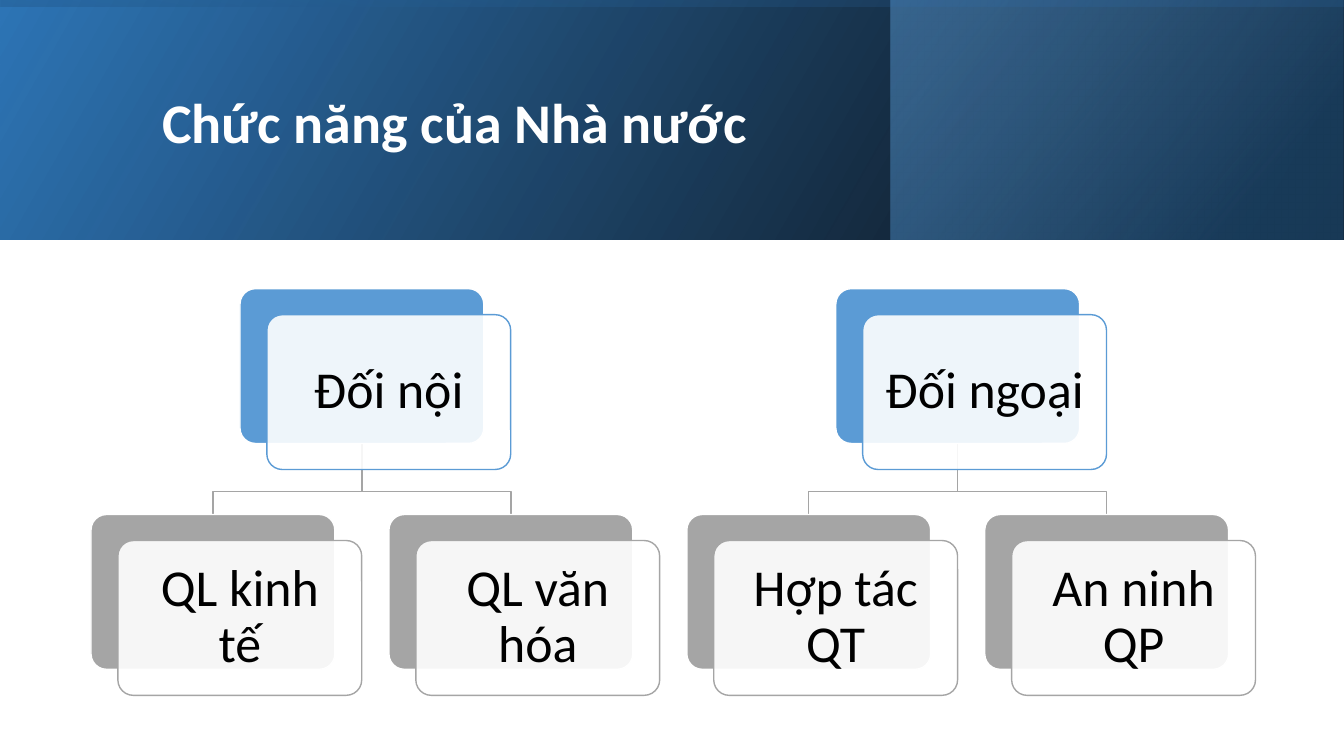
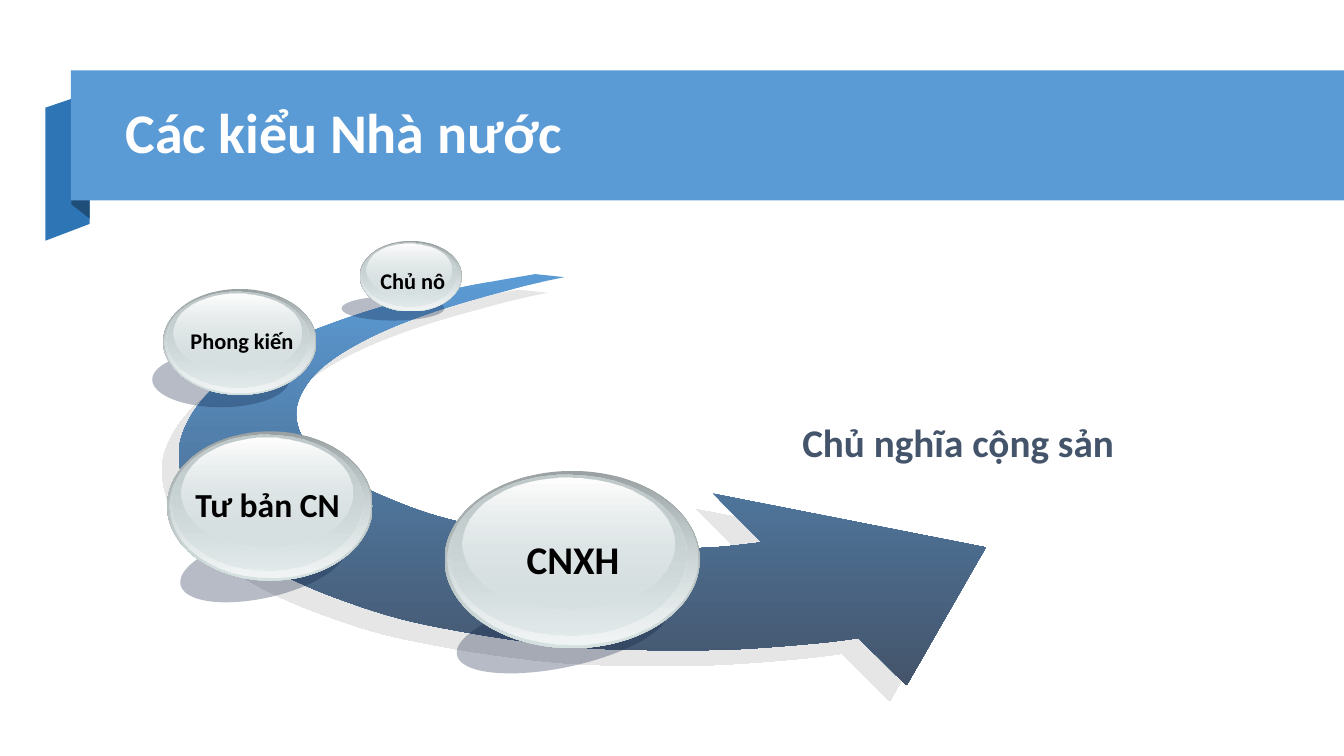
from dataclasses import dataclass
from typing import NamedTuple

from lxml.etree import SubElement as Sub
from pptx import Presentation
from pptx.dml.color import RGBColor as Rgb
from pptx.enum.shapes import MSO_SHAPE as Kind
from pptx.enum.text import MSO_ANCHOR as Anchor, PP_ALIGN as Align
from pptx.oxml.ns import qn
from pptx.util import Pt

# Shared look
FONT = "Calibri"
WIDE, HIGH = 960, 540
HEX = {
    "white": "FFFFFF", "black": "000000", "blue": "5B9BD5", "deep": "2E75B6",
    "navy": "1F4E79", "gray": "A5A5A5", "slate": "44546A", "pale": "E7E6E6",
    "ink": "0F2145", "steel": "99A1A2", "mist": "D6E1E2", "frost": "F2F5F5",
    "haze": "C1CBCC",
}


class Box(NamedTuple):
    x: float
    y: float
    w: float
    h: float


class Stop(NamedTuple):
    hue: str
    pos: int = 0
    alpha: int = 100


class Fade(NamedTuple):
    first: Stop
    last: Stop
    angle: int = 90


@dataclass
class Band:
    box: Box
    fade: Fade
    turn: int = 0


@dataclass
class Branch:
    head: str
    kids: tuple[str, str]


class Gloss(NamedTuple):
    """One layer of a ball, as shares of the ball's box."""
    x: float
    y: float
    w: float
    h: float
    fade: Fade


@dataclass
class Ball:
    text: str
    size: int
    body: Box
    label: Box
    shade: Box
    turn: float = 0


# Fill and text helpers
def add_hue(node, stop: Stop) -> None:
    hue = Sub(node, qn("a:srgbClr"), val=HEX[stop.hue])
    if stop.alpha < 100:
        Sub(hue, qn("a:alpha"), val=str(stop.alpha * 1000))


def paint(shape, fill: Stop | Fade | None, line: str | None = None):
    shape.shadow.inherit = False
    props = shape._element.spPr
    if fill is None:
        shape.fill.background()
    elif isinstance(fill, Stop):
        shape.fill.solid()
        node = props.find(qn("a:solidFill"))
        node.clear()
        add_hue(node, fill)
    else:
        shape.fill.gradient()
        node = props.find(qn("a:gradFill"))
        node.clear()
        node.set("rotWithShape", "1")
        stops = Sub(node, qn("a:gsLst"))
        for stop in (fill.first, fill.last):
            add_hue(Sub(stops, qn("a:gs"), pos=str(stop.pos * 1000)), stop)
        Sub(node, qn("a:lin"), ang=str(fill.angle * 60000), scaled="0")
    if line:
        shape.line.color.rgb = Rgb.from_string(HEX[line])
        shape.line.width = Pt(1)
    else:
        shape.line.fill.background()
    return shape


def write(shape, text: str, size: float, hue: str, bold: bool = True,
          align=Align.LEFT, **form) -> None:
    frame = shape.text_frame
    for key, val in ({"word_wrap": True} | form).items():
        setattr(frame, key, val)
    para = frame.paragraphs[0]
    para.alignment, para.line_spacing = align, 0.9
    run = para.add_run()
    run.text = text
    for key, val in {"name": FONT, "size": Pt(size), "bold": bold}.items():
        setattr(run.font, key, val)
    run.font.color.rgb = Rgb.from_string(HEX[hue])


# Shape helpers
def add_box(slide, kind, box: Box, fill: Stop | Fade, line: str | None = None):
    return paint(slide.shapes.add_shape(kind, *map(Pt, box)), fill, line)


def add_text(slide, box: Box, text: str, size: float, hue: str, **form) -> None:
    write(slide.shapes.add_textbox(*map(Pt, box)), text, size, hue, **form)


def add_path(slide, dots, fill: Stop | Fade | None, line: str | None = None):
    dots = [(Pt(x), Pt(y)) for x, y in dots]
    pen = slide.shapes.build_freeform(*dots[0])
    pen.add_line_segments(dots[1:], close=fill is not None)
    return paint(pen.convert_to_shape(), fill, line)


def smooth(dots: list, steps: int = 4) -> list:
    """Run a Catmull-Rom curve through the dots."""
    ends = [dots[0], *dots, dots[-1]]
    curve = []
    for near in zip(ends, ends[1:], ends[2:], ends[3:]):
        for t in (i / steps for i in range(steps)):
            curve.append(tuple(
                b + t / 2 * (c - a + t * (2 * a - 5 * b + 4 * c - d
                                          + t * (3 * (b - c) + d - a)))
                for a, b, c, d in zip(*near)))
    return [*curve, dots[-1]]


def add_title(slide, box: Box, text: str) -> None:
    add_text(slide, box, text, 40, "white", vertical_anchor=Anchor.MIDDLE)


# Slide 1: tree of cards
BAND_H = 170.8
BANDS = (
    Band(Box(0, 0, WIDE, BAND_H),
         Fade(Stop("black", 0, 96), Stop("deep", 100), 330)),
    Band(Box(636.5, 0, 323, BAND_H),
         Fade(Stop("navy", 19, 68), Stop("blue", 100, 48), 320)),
    Band(Box((WIDE - BAND_H) / 2, (BAND_H - WIDE) / 2, BAND_H, WIDE),
         Fade(Stop("deep", 23, 16), Stop("black", 99, 45), 350), 270),
)
TREE = (
    Branch("Đối nội", ("QL kinh tế", "QL văn hóa")),
    Branch("Đối ngoại", ("Hợp tác QT", "An ninh QP")),
)
CARD_W, CARD_H = 174.2, 110.6
SHIFT_X, SHIFT_Y = 19.2, 18.6
LEFT, PITCH = 65, 212.8
HEAD_Y, KID_Y, FORK_Y = 206.2, 367.5, 351.2


def add_card(slide, x: float, y: float, text: str, hue: str) -> None:
    back = Box(x, y, CARD_W, CARD_H)
    front = Box(x + SHIFT_X, y + SHIFT_Y, CARD_W, CARD_H)
    for box, fill, line in ((back, Stop(hue), "white"),
                            (front, Stop("white", alpha=90), hue)):
        card = add_box(slide, Kind.ROUNDED_RECTANGLE, box, fill, line)
        card.adjustments[0] = 0.1
    write(card, text, 37, "black", bold=False, align=Align.CENTER,
          margin_left=Pt(10.8), margin_right=Pt(10.8),
          vertical_anchor=Anchor.MIDDLE)


def draw_tree(slide) -> None:
    for band in BANDS:
        shape = add_box(slide, Kind.RECTANGLE, band.box, band.fade)
        shape.rotation = band.turn
        shape._element.spPr.xfrm.set("flipH", "1")
    add_title(slide, Box(108.7, 27.4, 765, 124), "Chức năng của Nhà nước")

    for i, branch in enumerate(TREE):
        head_x = LEFT + (2 * i + 0.5) * PITCH
        kids = [(LEFT + (2 * i + j) * PITCH, kid)
                for j, kid in enumerate(branch.kids)]
        mid = head_x + CARD_W / 2
        for x, _ in kids:
            end = x + CARD_W / 2
            add_path(slide, [(mid, HEAD_Y + CARD_H), (mid, FORK_Y),
                             (end, FORK_Y), (end, KID_Y)], None, "gray")
        add_card(slide, head_x, HEAD_Y, branch.head, "blue")
        for x, kid in kids:
            add_card(slide, x, KID_Y, kid, "gray")


# Slide 2: curved arrow with balls
FOLDS = (
    ("deep", [(64, 160), (32.4, 172), (32.4, 77), (64, 66.2)]),
    ("navy", [(64, 156.2), (51, 146), (51, 50.4), (64, 61.2)]),
)
OUTER = [
    (382.3, 195.8), (322.6, 206.6), (271.4, 219.6), (229, 234), (193.7, 249.1),
    (167, 265.7), (147.6, 282.2), (134.6, 300.2), (128.2, 318.2),
    (128.9, 336.2), (135.4, 354.2), (147.6, 371.5), (165.6, 388.1),
    (188.6, 403.2), (216.7, 417.6), (249.8, 430.6), (286.6, 442.1),
    (327.6, 450.7), (373, 457.9), (421.2, 463), (472.3, 464.4), (527, 463.7),
    (583.9, 459.4), (613.4, 455.8),
]
TIP = [(647.6, 489.6), (704.2, 391), (509.8, 352.8)]
INNER = [
    (544.3, 387.4), (510.5, 391), (475.9, 391.7), (439.9, 390.2),
    (405.4, 387.4), (370.8, 382.3), (337.7, 375.1), (307.4, 367.2),
    (280.1, 357.1), (256.3, 346.3), (236.9, 334.1), (222.5, 321.1),
    (213.8, 307.4), (211.7, 293), (216.7, 278.6), (229, 263.5),
    (250.6, 248.4), (281.5, 233.3), (321.8, 218.9), (373.7, 204.5),
    (403.2, 198),
]
LAYERS = (
    Gloss(0, 0, 1, 1, Fade(Stop("steel"), Stop("mist", 100))),
    Gloss(0.01, 0.01, 0.98, 0.97,
          Fade(Stop("mist", 0, 0), Stop("frost", 100))),
    Gloss(0.02, 0.02, 0.93, 0.91, Fade(Stop("haze"), Stop("mist", 100, 48))),
    Gloss(0.07, 0.04, 0.83, 0.74, Fade(Stop("white"), Stop("mist", 100, 38))),
)
BALLS = (
    Ball("CNXH", 28, Box(317.6, 336.4, 182.2, 126.6),
         Box(370.8, 383, 77, 38.9), Box(324.7, 427, 154, 49.7), 347.9),
    Ball("Tư bản CN", 24, Box(119.4, 308.1, 146.9, 106.6),
         Box(135.4, 345.6, 111.6, 33.8), Box(127.4, 381.6, 121, 45.4), 347.1),
    Ball("Phong kiến", 16, Box(116.6, 206.4, 109.4, 75.6),
         Box(126.7, 232.6, 92.2, 27.4), Box(108.7, 251.3, 98, 39.6)),
    Ball("Chủ nô", 16, Box(257, 172.1, 72.9, 50.4),
         Box(263.5, 189.4, 62.6, 27.4), Box(244, 211.7, 73.4, 17.3)),
)


def add_ball(slide, ball: Ball) -> None:
    shade = add_box(slide, Kind.OVAL, ball.shade, Stop("ink", alpha=30))
    shade.rotation = ball.turn
    x, y, w, h = ball.body
    for part in LAYERS:
        box = Box(x + part.x * w, y + part.y * h, part.w * w, part.h * h)
        add_box(slide, Kind.OVAL, box, part.fade)
    add_text(slide, ball.label, ball.text, ball.size, "black",
             align=Align.CENTER, word_wrap=False,
             margin_left=Pt(0), margin_right=Pt(0))


def draw_types(slide) -> None:
    for hue, dots in FOLDS:
        add_path(slide, dots, Stop(hue))
    add_box(slide, Kind.RECTANGLE, Box(50.6, 50.2, WIDE - 50.6, 93),
            Stop("blue"))
    add_title(slide, Box(82.6, 61.9, 811.4, 69), "Các kiểu Nhà nước")

    arrow = add_path(slide, smooth(OUTER) + TIP + smooth(INNER),
                     Fade(Stop("blue"), Stop("slate", 100)))
    drop = Sub(arrow._element.spPr.find(qn("a:effectLst")),
               qn("a:outerShdw"), dist=str(Pt(16.3)), dir=str(137 * 60000),
               algn="ctr", rotWithShape="0")
    add_hue(drop, Stop("pale"))
    add_text(slide, Box(566, 298.8, 285, 38.2), "Chủ nghĩa cộng sản",
             28, "slate")
    for ball in BALLS:
        add_ball(slide, ball)


def main() -> None:
    deck = Presentation()
    deck.slide_width, deck.slide_height = Pt(WIDE), Pt(HIGH)
    for draw in (draw_tree, draw_types):
        draw(deck.slides.add_slide(deck.slide_layouts[6]))
    deck.save("out.pptx")


if __name__ == "__main__":
    main()
